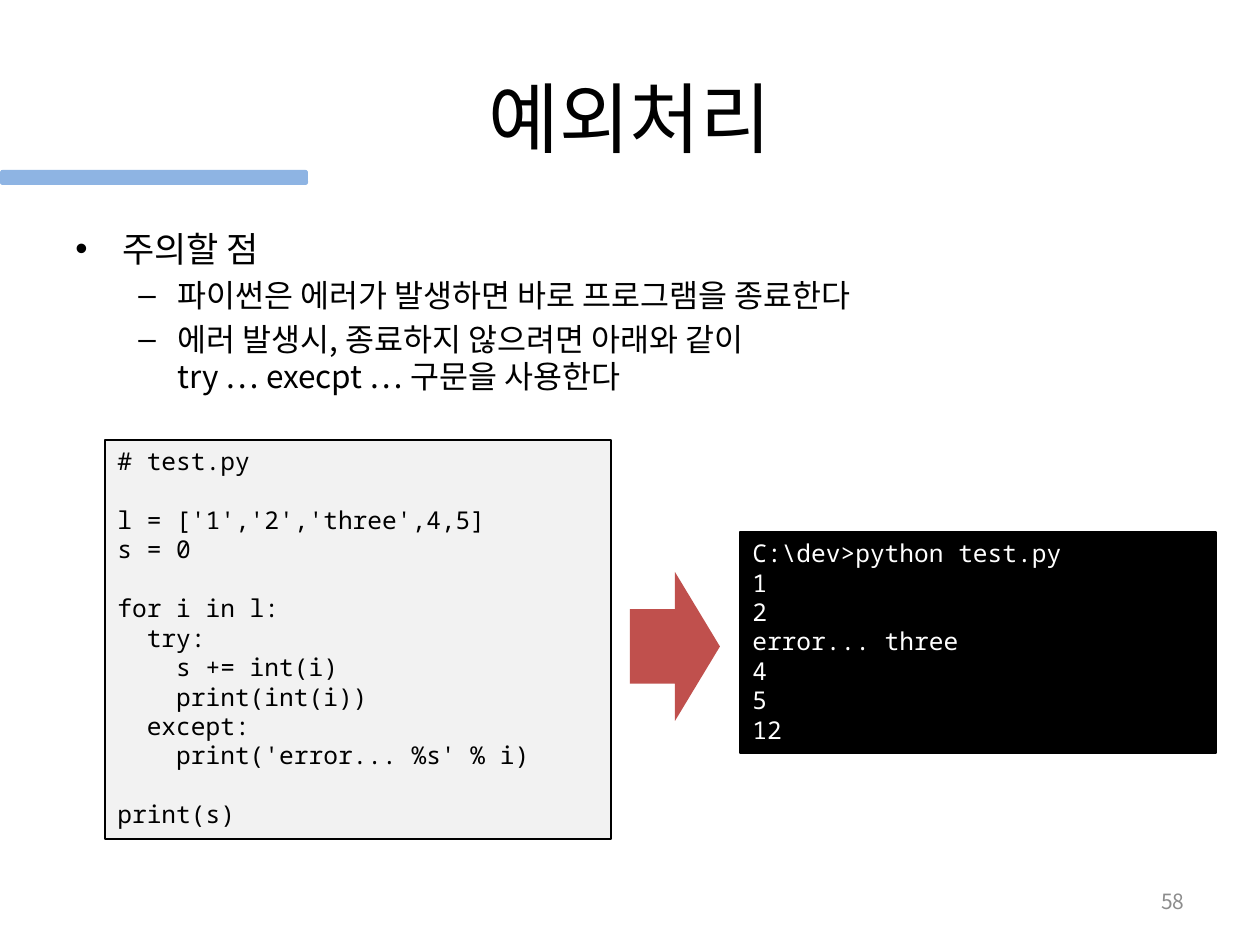
import pptx
import pptx.util
import pptx.dml.color
import pptx.enum.shapes
import pptx.enum.text
import pptx.oxml.ns
import lxml.etree

PIXEL = 914400 / 126
SANS = "Noto Sans CJK KR"
MONO = "Noto Sans Mono"
SHAPES = pptx.enum.shapes.MSO_SHAPE
ALIGN = pptx.enum.text.PP_ALIGN
ANCHOR = pptx.enum.text.MSO_ANCHOR

BULLETS = [
    ("•", 20, 47, 47, "주의할 점"),
    ("–", 18, 102, 39, "파이썬은 에러가 발생하면 바로 프로그램을 종료한다"),
    ("–", 18, 102, 39, "에러 발생시, 종료하지 않으려면 아래와 같이\vtry … execpt … 구문을 사용한다"),
]

CODE = """# test.py

l = ['1','2','three',4,5]
s = 0

for i in l:
  try:
    s += int(i)
    print(int(i))
  except:
    print('error... %s' % i)

print(s)"""

OUTPUT = """C:\\dev>python test.py
1
2
error... three
4
5
12"""


def px(length):
    """Turn pixels into EMU."""
    return pptx.util.Emu(round(length * PIXEL))


def color(value):
    """Turn a hex string into a colour."""
    return pptx.dml.color.RGBColor.from_string(value)


def set_values(target, values):
    """Set the attributes of an object from a dict."""
    for name, value in values.items():
        setattr(target, name, value)


def add_child(parent, tag, **attributes):
    """Append a DrawingML element to its parent."""
    element = lxml.etree.SubElement(parent, pptx.oxml.ns.qn(tag))
    for name, value in attributes.items():
        element.set(name, value)
    return element


def write_paragraph(paragraph, text, size, font, ink, **values):
    """Fill one paragraph with text in a single format."""
    paragraph.text = text
    set_values(paragraph, values)
    for run in paragraph.runs:
        set_values(run.font, {"size": pptx.util.Pt(size), "name": font})
        run.font.color.rgb = color(ink)
        add_child(run.font._element, "a:ea", typeface=font)
    if not text:
        end = add_child(paragraph._p, "a:endParaRPr", sz=str(size * 100))
        add_child(end, "a:latin", typeface=font)


def write_lines(frame, lines):
    """Return one paragraph for each line of a text frame."""
    return [frame.paragraphs[0]] + [frame.add_paragraph() for _ in lines[1:]]


def add_label(slide, box, text, size, ink, alignment):
    """Add one vertically centred line of text."""
    frame = slide.shapes.add_textbox(*map(px, box)).text_frame
    set_values(frame, {"word_wrap": True, "vertical_anchor": ANCHOR.MIDDLE})
    write_paragraph(frame.paragraphs[0], text, size, SANS, ink, alignment=alignment)


def add_bullets(slide, box):
    """Add the bulleted body text."""
    frame = slide.shapes.add_textbox(*map(px, box)).text_frame
    frame.word_wrap = True
    for paragraph, item in zip(write_lines(frame, BULLETS), BULLETS):
        bullet, size, margin, hanging, text = item
        write_paragraph(paragraph, text, size, SANS, "000000",
                        level=int(bullet == "–"), space_before=pptx.util.Pt(size * 0.2))
        properties = paragraph._p.get_or_add_pPr()
        properties.set("marL", str(px(margin)))
        properties.set("indent", str(px(-hanging)))
        add_child(properties, "a:buFont", typeface="Arial")
        add_child(properties, "a:buChar", char=bullet)


def add_block(slide, kind, box, fill, line=None):
    """Add a flat filled shape."""
    shape = slide.shapes.add_shape(kind, *map(px, box))
    shape.shadow.inherit = False
    shape.fill.solid()
    shape.fill.fore_color.rgb = color(fill)
    if line:
        shape.line.color.rgb = color(line)
        shape.line.width = pptx.util.Pt(0.75)
    else:
        shape.line.fill.background()
    return shape


def add_listing(slide, box, text, fill, ink):
    """Add a framed box of monospaced lines."""
    frame = add_block(slide, SHAPES.RECTANGLE, box, fill, "000000").text_frame
    set_values(frame, {"word_wrap": True, "vertical_anchor": ANCHOR.TOP})
    lines = text.split("\n")
    for paragraph, line in zip(write_lines(frame, lines), lines):
        write_paragraph(paragraph, line, 14, MONO, ink, alignment=ALIGN.LEFT)


def add_example(slide, left, top):
    """Add the code, the arrow and the console output."""
    add_listing(slide, (left, top, 506, 399), CODE, "F2F2F2", "000000")
    add_listing(slide, (left + 635, top + 92, 476, 221), OUTPUT, "000000", "FFFFFF")
    add_block(slide, SHAPES.RIGHT_ARROW, (left + 525, top + 132, 90, 149), "C0504D")


def build():
    """Build the slide and save it."""
    presentation = pptx.Presentation()
    set_values(presentation, {"slide_width": px(1260), "slide_height": px(945)})
    slide = presentation.slides.add_slide(presentation.slide_layouts[6])
    add_block(slide, SHAPES.ROUNDED_RECTANGLE, (0, 170, 308, 15), "8EB4E3")
    add_label(slide, (63, 38, 1134, 158), "예외처리", 44, "000000", ALIGN.CENTER)
    add_bullets(slide, (63, 221, 1134, 624))
    add_example(slide, 105, 440)
    add_label(slide, (903, 876, 294, 50), "58", 12, "8C8C8C", ALIGN.RIGHT)
    presentation.save("out.pptx")


build()
